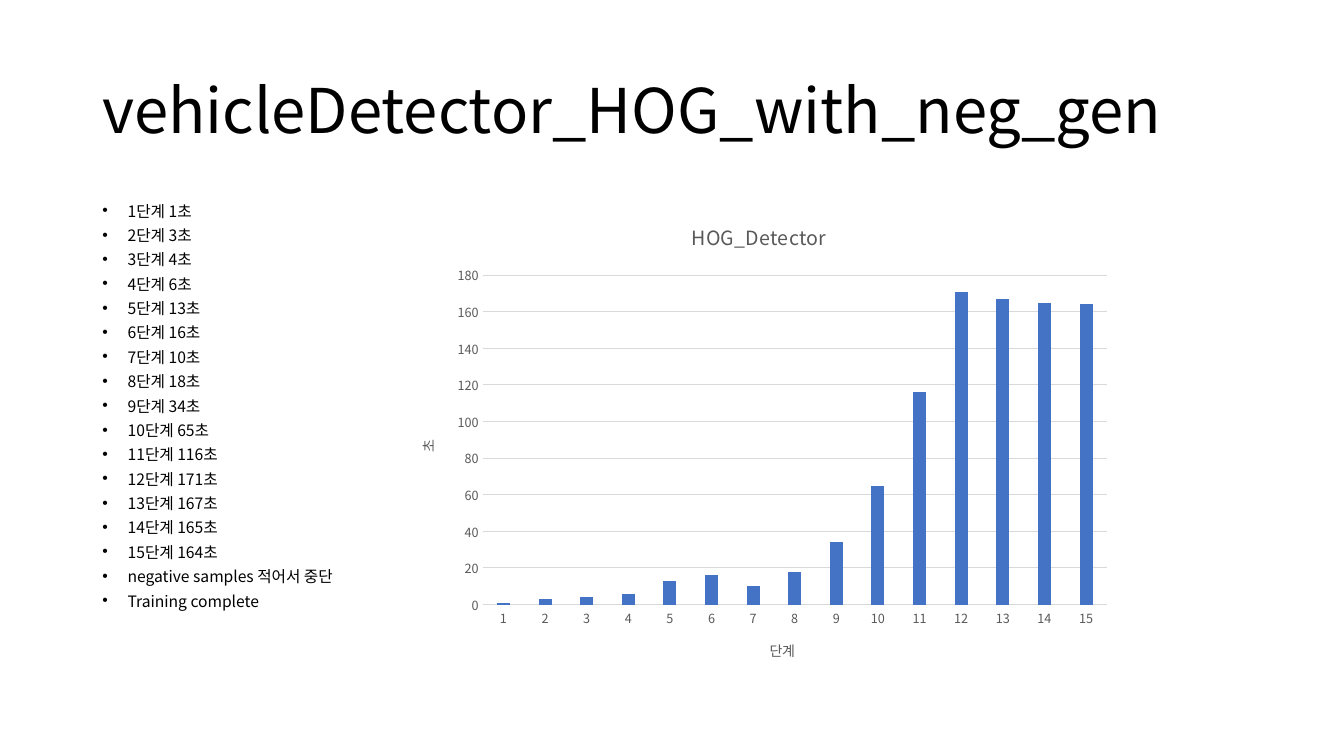
from lxml import etree
from pptx import Presentation
from pptx.chart.data import CategoryChartData
from pptx.dml.color import RGBColor
from pptx.enum.chart import XL_CHART_TYPE, XL_TICK_MARK
from pptx.enum.text import MSO_ANCHOR, MSO_AUTO_SIZE, PP_ALIGN
from pptx.oxml.ns import qn
from pptx.util import Pt

COLUMN_CLUSTERED = XL_CHART_TYPE.COLUMN_CLUSTERED
NO_TICK = XL_TICK_MARK.NONE
MIDDLE, TOP = MSO_ANCHOR.MIDDLE, MSO_ANCHOR.TOP
NO_AUTOFIT = MSO_AUTO_SIZE.NONE
LEFT = PP_ALIGN.LEFT

FONT = "Noto Sans CJK KR"
BLACK, GREY, GRID, BLUE = "000000", "595959", "D9D9D9", "4472C4"
SECONDS = [1, 3, 4, 6, 13, 16, 10, 18, 34, 65, 116, 171, 167, 165, 164]
REMARKS = ["negative samples 적어서 중단", "Training complete"]


def color(value):
    """Turn a hex string into a colour."""
    return RGBColor.from_string(value)


def format_font(font, size, value):
    """Set the typeface, size and colour of a font."""
    font.name = FONT
    font.size = Pt(size)
    font.bold = False
    font.color.rgb = color(value)


def format_paragraph(paragraph, size, value):
    """Format every run for Latin and East Asian text."""
    for run in paragraph.runs:
        format_font(run.font, size, value)
        latin = run.font._element.find(qn("a:latin"))
        east_asian = etree.Element(qn("a:ea"), typeface=FONT)
        latin.addnext(east_asian)


def place(shape, box):
    """Move a shape to a box given in points."""
    shape.left, shape.top, shape.width, shape.height = map(Pt, box)


def fill_title(shape, box, text):
    """Place and format the slide title."""
    place(shape, box)
    frame = shape.text_frame
    frame.text = text
    frame.auto_size = NO_AUTOFIT
    frame.vertical_anchor = MIDDLE
    paragraph = frame.paragraphs[0]
    paragraph.alignment = LEFT
    paragraph.line_spacing = 0.9
    format_paragraph(paragraph, 44, BLACK)


def fill_list(shape, box, items):
    """Place the bulleted list of stage times."""
    place(shape, box)
    frame = shape.text_frame
    frame.text = "\n".join(items)
    frame.auto_size = NO_AUTOFIT
    frame.vertical_anchor = TOP
    for paragraph in frame.paragraphs:
        paragraph.line_spacing = 0.7
        paragraph.space_before = Pt(8)
        properties = paragraph._p.get_or_add_pPr()
        properties.set("marL", str(Pt(18)))
        properties.set("indent", str(Pt(-18)))
        etree.SubElement(properties, qn("a:buFont"), typeface="Arial")
        etree.SubElement(properties, qn("a:buChar"), char="•")
        format_paragraph(paragraph, 11.2, BLACK)


def title_chart_part(part, text, size):
    """Give a chart or an axis its title."""
    frame = part.text_frame
    frame.text = text
    format_paragraph(frame.paragraphs[0], size, GREY)


def format_axis(axis, title):
    """Format the labels, ticks and title of an axis."""
    axis.major_tick_mark = NO_TICK
    axis.minor_tick_mark = NO_TICK
    format_font(axis.tick_labels.font, 9, GREY)
    title_chart_part(axis.axis_title, title, 10)


def format_line(line):
    """Draw a thin light grey chart line."""
    line.color.rgb = color(GRID)
    line.width = Pt(0.75)


def add_time_chart(slide, box, values):
    """Add the column chart of seconds per stage."""
    data = CategoryChartData()
    data.categories = [str(stage) for stage in range(1, len(values) + 1)]
    data.add_series("Series 1", values)
    chart = slide.shapes.add_chart(COLUMN_CLUSTERED, *map(Pt, box), data).chart
    format_font(chart.font, 10, BLACK)
    chart.has_legend = False
    title_chart_part(chart.chart_title, "HOG_Detector", 14)
    chart.chart_title.include_in_layout = False

    stages, seconds = chart.category_axis, chart.value_axis
    format_axis(stages, "단계")
    format_line(stages.format.line)
    format_axis(seconds, "초")
    seconds.format.line.fill.background()
    seconds.minimum_scale, seconds.maximum_scale = 0, 180
    seconds.major_unit = 20
    format_line(seconds.major_gridlines.format.line)

    plot = chart.plots[0]
    plot.gap_width, plot.overlap = 219, -27
    plot.vary_by_categories = False
    fill = plot.series[0].format.fill
    fill.solid()
    fill.fore_color.rgb = color(BLUE)


def build_result_slide(presentation, box):
    """Build the training result slide inside a box."""
    left, top, width, height = box
    slide = presentation.slides.add_slide(presentation.slide_layouts[1])
    title, body = slide.placeholders
    items = [f"{stage}단계 {value}초" for stage, value in enumerate(SECONDS, 1)]
    content_top, content_height = top + 115, height - 115
    fill_title(title, (left, top, width, 104.4), "vehicleDetector_HOG_with_neg_gen")
    fill_list(body, (left, content_top, width, content_height), items + REMARKS)
    add_time_chart(slide, (left + 217.5, content_top, 517.5, content_height), SECONDS)


def main():
    """Create and save the presentation."""
    presentation = Presentation()
    presentation.slide_width, presentation.slide_height = Pt(960), Pt(540)
    build_result_slide(presentation, (66, 29, 828, 457.5))
    presentation.save("out.pptx")


if __name__ == "__main__":
    main()
